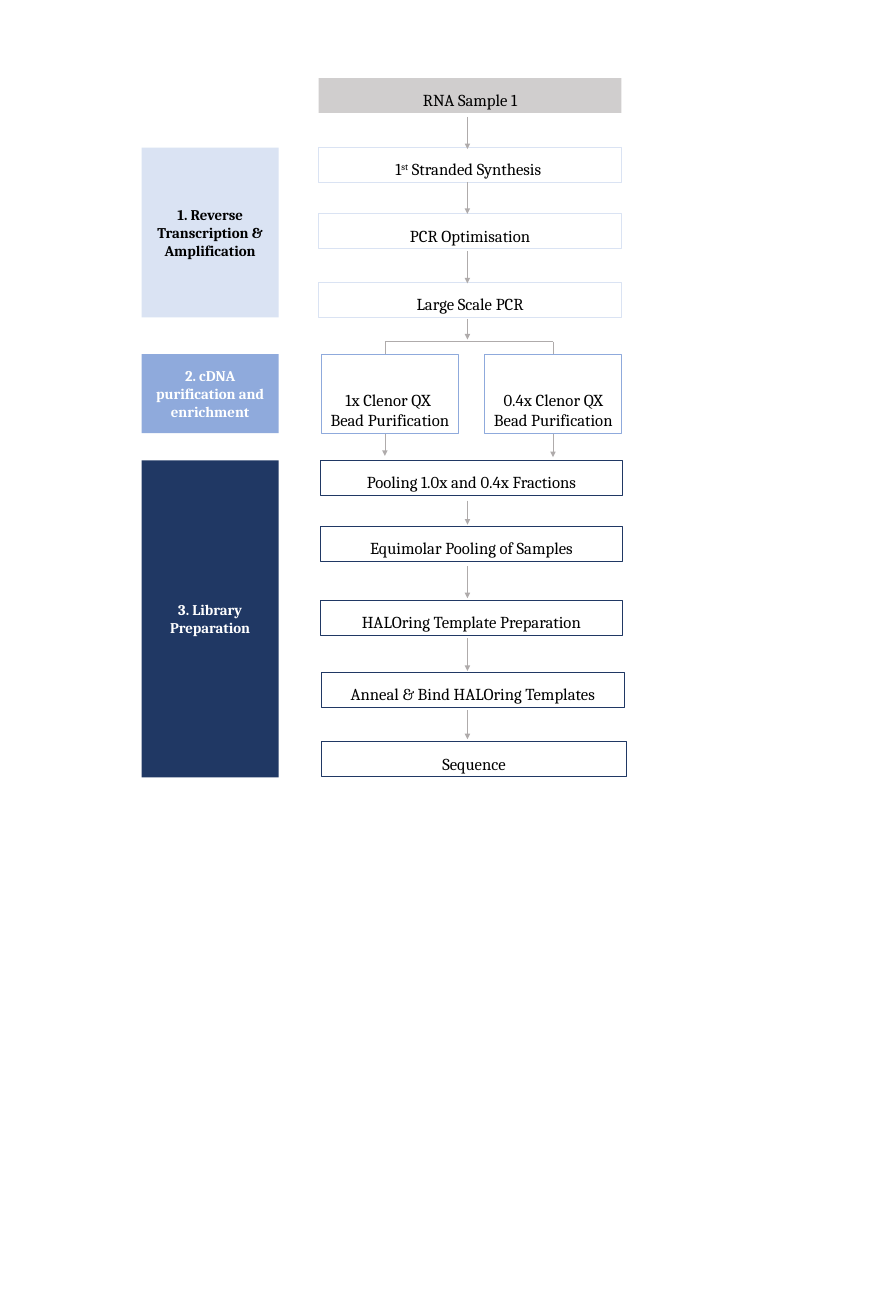
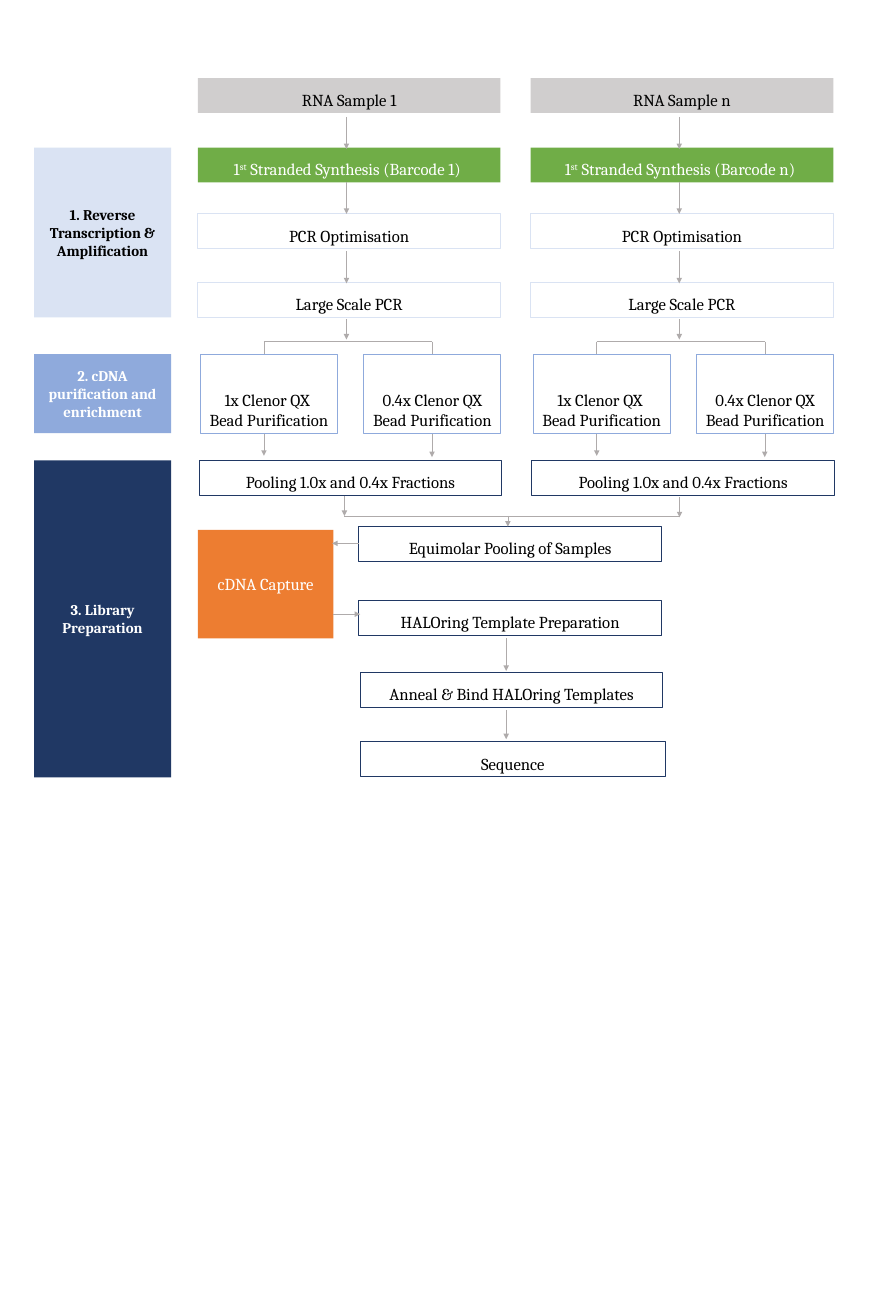
import dataclasses

import lxml.etree
import pptx
import pptx.dml.color
import pptx.enum.shapes
import pptx.enum.text
import pptx.oxml.ns
import pptx.util

Pt = pptx.util.Pt
ANCHOR = pptx.enum.text.MSO_ANCHOR
qn = pptx.oxml.ns.qn


@dataclasses.dataclass(frozen=True)
class Theme:
    font: str = "Cambria"
    step_size: int = 18
    stage_size: int = 16
    box_line: float = 1
    arrow_line: float = 0.5
    black: str = "000000"
    white: str = "FFFFFF"
    grey: str = "D0CECE"
    arrow: str = "AFABAB"
    pale: str = "DAE3F3"
    mid: str = "8FAADC"
    navy: str = "203864"
    green: str = "70AD47"
    orange: str = "ED7D31"


theme = Theme()
rgb = pptx.dml.color.RGBColor.from_string


def box(s, x, y, w, h, text, fill=theme.white, line=None, color=theme.black,
        size=theme.step_size, bold=False, anchor=ANCHOR.BOTTOM):
    """Rectangle with text: a newline starts a paragraph, ^ encloses superscript."""
    sp = s.shapes.add_shape(pptx.enum.shapes.MSO_SHAPE.RECTANGLE,
                            Pt(x), Pt(y), Pt(w), Pt(h))
    sp.shadow.inherit = False
    sp.fill.solid()
    sp.fill.fore_color.rgb = rgb(fill)
    if line:
        sp.line.color.rgb = rgb(line)
        sp.line.width = Pt(theme.box_line)
    else:
        sp.line.fill.background()
    tf = sp.text_frame
    tf.word_wrap = True
    tf.vertical_anchor = anchor
    for i, row in enumerate(text.split("\n")):
        p = tf.add_paragraph() if i else tf.paragraphs[0]
        p.alignment = pptx.enum.text.PP_ALIGN.CENTER
        for j, part in enumerate(row.split("^")):
            r = p.add_run()
            r.text = part
            r.font.color.rgb = rgb(color)
            for name, value in {"name": theme.font, "size": Pt(size), "bold": bold}.items():
                setattr(r.font, name, value)
            if j % 2:
                r.font._element.set("baseline", "30000")


def line(s, x1, y1, x2, y2, arrow=True):
    """Thin straight line, with an arrowhead at its end unless told otherwise."""
    c = s.shapes.add_connector(pptx.enum.shapes.MSO_CONNECTOR.STRAIGHT,
                               Pt(x1), Pt(y1), Pt(x2), Pt(y2))
    c.line.color.rgb = rgb(theme.arrow)
    c.line.width = Pt(theme.arrow_line)
    props = c._element.spPr
    if arrow:
        lxml.etree.SubElement(props.find(qn("a:ln")), qn("a:tailEnd"), type="triangle")
    lxml.etree.SubElement(props, qn("a:effectLst"))


# Shared measures
STEP_W, STEP_H = 326.16, 37.44
SIDE_W, SPLIT_H = 147.6, 84.96
SPLIT_Y, POOL_Y, FORK_Y = 381.6, 496.08, 367.92
MERGE_Y = 555.84

# Stage labels: top, height, text, fill, text colour
STAGES = [
    (159.12, 182.88, "1. Reverse Transcription & Amplification", theme.pale, theme.black),
    (SPLIT_Y, SPLIT_H, "2. cDNA purification and enrichment", theme.mid, theme.white),
    (POOL_Y, 341.28, "3. Library Preparation", theme.navy, theme.white),
]
# Final steps: offset, top, width, text
FINAL_STEPS = [
    (0, 567.36, STEP_W, "Equimolar Pooling of Samples"),
    (0, 647.28, STEP_W, "HALOring Template Preparation"),
    (1.44, 724.32, STEP_W, "Anneal & Bind HALOring Templates"),
    (1.44, 799.2, 329.04, "Sequence"),
]
SAMPLE_ARROWS = [(126, 160.56), (195.84, 230.4), (270.72, 305.28), (344.16, 365.76)]
FINAL_ARROWS = [(687.6, 722.88), (765.36, 796.32)]
SINGLE_ARROWS = [(539.28, 565.2), (609.84, 644.4)]

# Slides: stage left, final steps left, sample columns (left, sample, barcode)
SLIDES = [
    (152.64, 344.88, [(343.44, "1", "")]),
    (36.72, 386.64, [(213.12, "1", "(Barcode 1) "), (571.68, "n", "(Barcode n) ")]),
]

prs = pptx.Presentation()
prs.slide_width, prs.slide_height = Pt(960), Pt(1417.68)

for stage_x, final_x, samples in SLIDES:
    s = prs.slides.add_slide(prs.slide_layouts[6])
    pooled = len(samples) > 1

    # Stage labels
    for y, h, text, fill, color in STAGES:
        box(s, stage_x, y, SIDE_W, h, text, fill, color=color,
            size=theme.stage_size, bold=True, anchor=ANCHOR.MIDDLE)

    # One column for each sample
    for x, sample, barcode in samples:
        synthesis = ({"fill": theme.green, "color": theme.white} if barcode
                     else {"line": theme.pale})
        for dx, y, text, look in [
            (0, 84.24, f"RNA Sample {sample}", {"fill": theme.grey}),
            (0, 159.12, f"1^st^ Stranded Synthesis {barcode}", synthesis),
            (0, 230.4, "PCR Optimisation", {"line": theme.pale}),
            (0, 304.56, "Large Scale PCR", {"line": theme.pale}),
            (1.44, POOL_Y, "Pooling 1.0x and 0.4x Fractions", {"line": theme.navy}),
        ]:
            box(s, x + dx, y, STEP_W, STEP_H, text, **look)
        for top, bottom in SAMPLE_ARROWS:
            line(s, x + 160.2, top, x + 160.2, bottom)

        # Fork into the two purifications
        left, right = x + 71.28, x + 252.36
        line(s, left, FORK_Y, right, FORK_Y, arrow=False)
        for fork_x, bottom, dx, text in [
            (left, 491.04, 2.88, "1x Clenor QX \nBead Purification"),
            (right, 492.48, 178.92, "0.4x Clenor QX Bead Purification"),
        ]:
            line(s, fork_x, FORK_Y, fork_x, bottom)
            box(s, x + dx, SPLIT_Y, SIDE_W, SPLIT_H, text, line=theme.mid)

    # Final steps
    for dx, y, w, text in FINAL_STEPS:
        box(s, final_x + dx, y, w, STEP_H, text, line=theme.navy)
    for top, bottom in FINAL_ARROWS + ([] if pooled else SINGLE_ARROWS):
        line(s, final_x + 158.8, top, final_x + 158.8, bottom)

    # Merging of the samples and the capture detour
    if pooled:
        line(s, 371.16, MERGE_Y, 732.24, MERGE_Y, arrow=False)
        for x, top, bottom in [(371.16, 534.24, MERGE_Y), (732.24, 535.68, 557.28),
                               (547.2, MERGE_Y, 567.36)]:
            line(s, x, top, x, bottom)
        box(s, 213.12, 570.96, 146.16, 116.64, "cDNA Capture", theme.orange,
            color=theme.white, anchor=ANCHOR.MIDDLE)
        line(s, final_x, 585.36, 357.84, 585.36)
        line(s, 358.56, 661.68, 388.08, 661.68)

prs.save("out.pptx")
